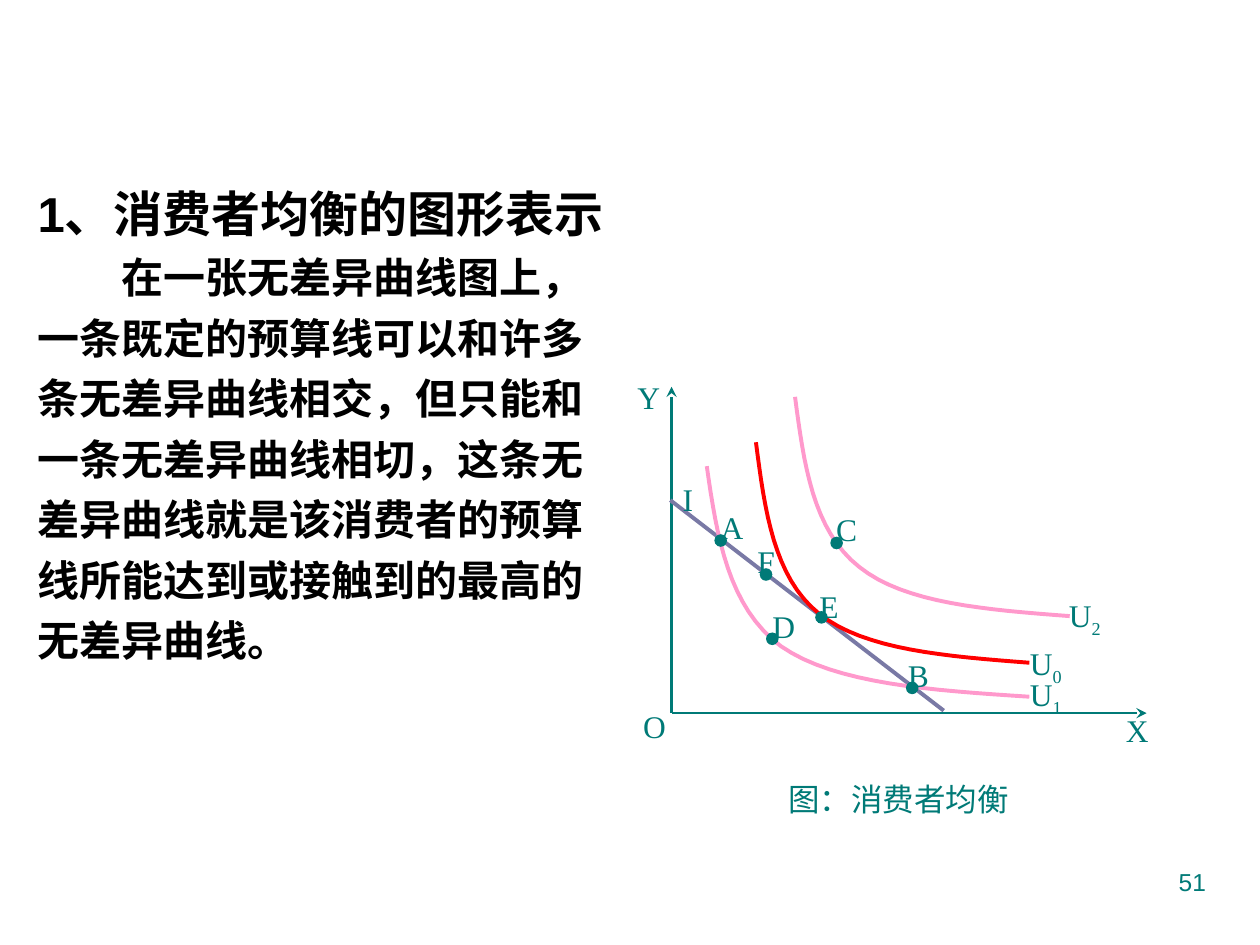
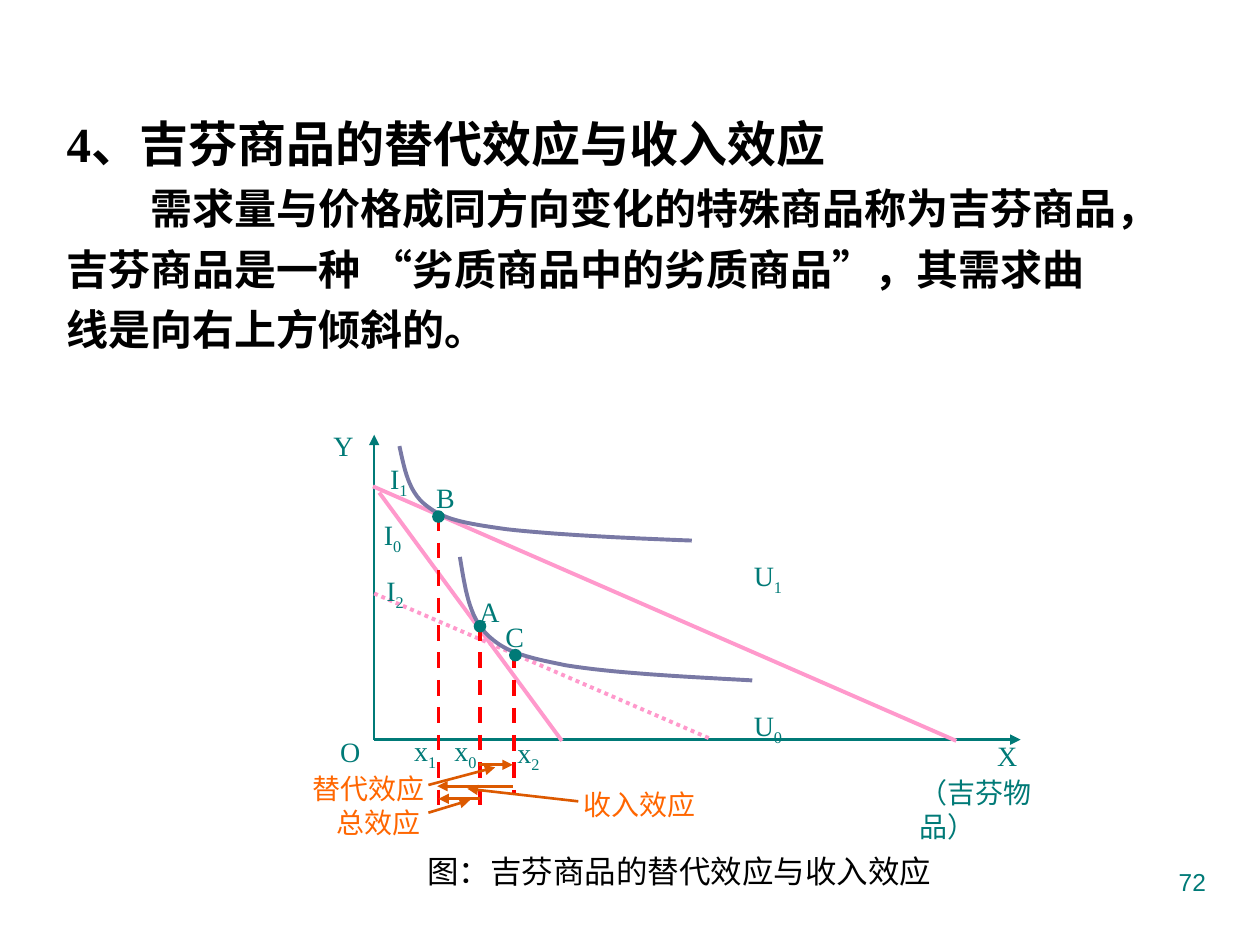
from dataclasses import dataclass
from typing import NamedTuple

from lxml.etree import SubElement
from pptx import Presentation
from pptx.dml.color import RGBColor
from pptx.enum.dml import MSO_LINE
from pptx.enum.shapes import MSO_CONNECTOR, MSO_SHAPE
from pptx.enum.text import PP_ALIGN
from pptx.oxml.ns import qn
from pptx.util import Inches, Pt

COLUMNS, ROWS = 100, 75
CELL = Inches(0.1)

TEAL, BLACK, RED = "007A77", "000000", "FF0000"
PINK, SLATE, ORANGE, RUST = "FF99CC", "7979A5", "FF6600", "DC5900"
SANS, SERIF, CHINESE = "Arial", "Times New Roman", "Noto Sans CJK SC"
THIN, THICK = 1.5, 2.25
DOT_SIZE = 1
CURVE_STEPS = 16


class Point(NamedTuple):
    column: float
    row: float


class Frame(NamedTuple):
    left: float
    top: float
    width: float
    height: float


class Inset(NamedTuple):
    across: float
    down: float


WIDE, TIGHT = Inset(1, 0.5), Inset(0.6, 0.4)


@dataclass(frozen=True)
class Style:
    size: float
    font: str = SERIF
    color: str = TEAL
    bold: bool = False
    align: PP_ALIGN = PP_ALIGN.CENTER
    spacing: float = 1.0
    indent: float = 0


@dataclass(frozen=True)
class Label:
    """A short text centred on a column, with an optional subscript."""
    text: str
    center: float
    top: float
    subscript: str = ""
    color: str = TEAL
    width: float = 6


@dataclass(frozen=True)
class Line:
    start: Point
    end: Point
    color: str
    weight: float = THICK
    dash: MSO_LINE | None = None
    arrow: str = ""


@dataclass(frozen=True)
class Curve:
    """Cubic Bezier pieces: a start point, then three points for each piece."""
    points: tuple[Point, ...]
    color: str


@dataclass(frozen=True)
class Diagram:
    label_size: float
    lines: list[Line]
    curves: list[Curve]
    labels: list[Label]
    dots: list[Point]


def cells(count: float) -> int:
    return round(count * CELL)


def rgb(color: str) -> RGBColor:
    return RGBColor.from_string(color)


def style_para(para, style: Style) -> None:
    para.alignment = style.align
    para.line_spacing = style.spacing
    if style.indent:
        para._p.get_or_add_pPr().set("indent", str(cells(style.indent)))
    font = para.font
    font.size, font.name, font.bold = Pt(style.size), style.font, style.bold
    font.color.rgb = rgb(style.color)
    defaults = para._p.pPr.find(qn("a:defRPr"))
    SubElement(defaults, qn("a:ea")).set("typeface", CHINESE)


def add_text(page, frame: Frame, *texts: tuple[str, Style], inset: Inset = WIDE):
    """Adds a text box with one paragraph for each text and returns its text frame."""
    box = page.shapes.add_textbox(*map(cells, frame)).text_frame
    box.word_wrap = True
    box.margin_left = box.margin_right = cells(inset.across)
    box.margin_top = box.margin_bottom = cells(inset.down)
    for index, (text, style) in enumerate(texts):
        para = box.add_paragraph() if index else box.paragraphs[0]
        para.add_run().text = text
        style_para(para, style)
    return box


def add_label(page, label: Label, size: float) -> None:
    frame = Frame(label.center - label.width / 2, label.top, label.width, 3.4)
    box = add_text(page, frame, (label.text, Style(size, color=label.color)), inset=TIGHT)
    if label.subscript:
        span = box.paragraphs[0].add_run()
        span.text = label.subscript
        span._r.get_or_add_rPr().set("baseline", "-25000")


def add_line(page, line: Line) -> None:
    ends = map(cells, (*line.start, *line.end))
    connector = page.shapes.add_connector(MSO_CONNECTOR.STRAIGHT, *ends)
    connector.line.color.rgb = rgb(line.color)
    connector.line.width = Pt(line.weight)
    if line.dash:
        connector.line.dash_style = line.dash
    if line.arrow:
        SubElement(connector.line._get_or_add_ln(), qn("a:tailEnd")).set("type", line.arrow)
    SubElement(connector._element.spPr, qn("a:effectLst"))


def bezier(corners: tuple[Point, ...], share: float) -> Point:
    rest = 1 - share
    weights = (rest**3, 3 * rest**2 * share, 3 * rest * share**2, share**3)
    return Point(*(sum(w * v for w, v in zip(weights, axis)) for axis in zip(*corners)))


def add_curve(page, curve: Curve) -> None:
    points = curve.points
    trace = [bezier(points[first:first + 4], step / CURVE_STEPS)
             for first in range(0, len(points) - 1, 3)
             for step in range(1, CURVE_STEPS + 1)]
    builder = page.shapes.build_freeform(*map(cells, points[0]))
    builder.add_line_segments([tuple(map(cells, point)) for point in trace], close=False)
    shape = builder.convert_to_shape()
    shape.shadow.inherit = False
    shape.fill.background()
    shape.line.color.rgb = rgb(curve.color)
    shape.line.width = Pt(THICK)


def add_dot(page, center: Point) -> None:
    corner = (center.column - DOT_SIZE / 2, center.row - DOT_SIZE / 2)
    dot = page.shapes.add_shape(
        MSO_SHAPE.OVAL, *map(cells, (*corner, DOT_SIZE, DOT_SIZE)))
    dot.shadow.inherit = False
    dot.fill.solid()
    dot.fill.fore_color.rgb = rgb(TEAL)
    dot.line.fill.background()


def add_diagram(page, diagram: Diagram) -> None:
    for line in diagram.lines:
        add_line(page, line)
    for curve in diagram.curves:
        add_curve(page, curve)
    for label in diagram.labels:
        add_label(page, label, diagram.label_size)
    for dot in diagram.dots:
        add_dot(page, dot)


def add_page(deck, number: int, frame: Frame, heading: str, body: str,
             heading_font: str, body_font: str):
    """Adds a blank page with its heading, indented body text and page number."""
    page = deck.slides.add_slide(deck.slide_layouts[6])
    left = PP_ALIGN.LEFT
    add_text(page, frame,
             (heading, Style(28, heading_font, BLACK, True, left, 1.2)),
             (body, Style(24, body_font, BLACK, True, left, 1.2, indent=6.67)))
    add_text(page, Frame(71.7, 68.3, 25, 5.2),
             (str(number), Style(14, SANS, align=PP_ALIGN.RIGHT)))
    return page


def axes(origin: Point, top: float, right: float, arrow: str) -> list[Line]:
    ends = (Point(origin.column, top), Point(right, origin.row))
    return [Line(origin, end, TEAL, THIN, arrow=arrow) for end in ends]


def effect_arrow(start: Point, end: Point) -> Line:
    return Line(start, end, RUST, THIN, arrow="triangle")


def drop_line(column: float, top: float, bottom: float) -> Line:
    return Line(Point(column, top), Point(column, bottom), RED, dash=MSO_LINE.DASH)


def curve_through(color: str, *points: tuple[float, float]) -> Curve:
    return Curve(tuple(Point(*point) for point in points), color)


def equilibrium_diagram() -> Diagram:
    return Diagram(
        label_size=18,
        lines=[*axes(Point(53.3, 56.6), 30.7, 91, "stealth"),
               Line(Point(53.2, 39.7), Point(74.9, 56.4), SLATE)],
        curves=[
            curve_through(RED, (60, 35.1), (60.7, 40.5), (61.4, 45.8), (65, 48.7),
                          (68.6, 51.6), (75.2, 52.1), (81.7, 52.6)),
            curve_through(PINK, (56.1, 37), (56.9, 42.6), (57.8, 48.2), (62, 51.3),
                          (66.3, 54.3), (74, 54.8), (81.7, 55.3)),
            curve_through(PINK, (63.1, 31.5), (63.8, 36.8), (64.5, 42.1), (68.2, 45),
                          (71.8, 47.9), (78.3, 48.4), (84.9, 48.9)),
        ],
        labels=[
            Label("O", 51.95, 55.7), Label("X", 90.25, 56), Label("Y", 51.5, 29.6),
            Label("A", 58.1, 39.9), Label("B", 72.9, 51.7), Label("C", 67.2, 40.1),
            Label("D", 62.2, 47.8), Label("E", 65.8, 46.2), Label("F", 60.8, 42.6),
            Label("I", 54.6, 37.7), Label("U", 83, 50.7, "0"),
            Label("U", 83, 53.2, "1"), Label("U", 86.1, 46.9, "2"),
        ],
        dots=[Point(57.2, 42.9), Point(72.4, 54.6), Point(65.2, 49),
              Point(61.3, 50.7), Point(66.4, 43.1), Point(60.8, 45.6)],
    )


def giffen_diagram() -> Diagram:
    return Diagram(
        label_size=16,
        lines=[
            *axes(Point(29.7, 58.7), 34.5, 81, "triangle"),
            Line(Point(30.1, 39.1), Point(44.6, 58.8), PINK),
            Line(Point(29.7, 47.1), Point(56.3, 58.6), PINK, dash=MSO_LINE.ROUND_DOT),
            Line(Point(29.6, 38.6), Point(75.9, 58.8), PINK),
            drop_line(38.1, 49.6, 64.3),
            drop_line(40.8, 51.8, 62.9),
            drop_line(34.8, 40.9, 64.3),
            effect_arrow(Point(38, 60.7), Point(40.7, 60.7)),
            effect_arrow(Point(40.7, 62.4), Point(34.7, 62.4)),
            effect_arrow(Point(38.1, 63.4), Point(34.8, 63.4)),
            effect_arrow(Point(34, 62.3), Point(39.3, 60.9)),
            effect_arrow(Point(45.9, 63.6), Point(37.1, 62.6)),
            effect_arrow(Point(34, 64.5), Point(37.3, 63.5)),
        ],
        curves=[
            curve_through(SLATE, (31.7, 35.4), (32.1, 37.2), (32.4, 39), (33.8, 40.1),
                          (35.2, 41.2), (36.6, 41.5), (40.2, 42),
                          (43.7, 42.4), (49.3, 42.7), (54.9, 42.9)),
            curve_through(SLATE, (36.5, 44.2), (36.9, 46.6), (37.2, 48.9), (38.6, 50.3),
                          (40, 51.7), (41.4, 52.1), (44.9, 52.8),
                          (48.5, 53.4), (54.1, 53.7), (59.7, 54)),
        ],
        labels=[
            Label("O", 27.8, 57.9), Label("X", 79.95, 58.2), Label("Y", 27.25, 33.6),
            Label("A", 38.85, 46.8), Label("B", 35.35, 37.7), Label("C", 40.85, 48.8),
            Label("U", 60.95, 55.8, "0"), Label("U", 60.95, 43.9, "1"),
            Label("I", 31.15, 40.7, "0"), Label("I", 31.65, 36.2, "1"),
            Label("I", 31.35, 45.1, "2"), Label("x", 36.95, 57.8, "0"),
            Label("x", 33.75, 57.8, "1"), Label("x", 41.95, 58, "2"),
            Label("替代效应", 29.25, 60.8, color=ORANGE, width=10.5),
            Label("收入效应", 50.75, 62.1, color=ORANGE, width=10.5),
            Label("总效应", 30.05, 63.5, color=ORANGE, width=10.5),
        ],
        dots=[Point(38.1, 49.7), Point(34.8, 41), Point(40.9, 52)],
    )


def main() -> None:
    deck = Presentation()
    deck.slide_width, deck.slide_height = cells(COLUMNS), cells(ROWS)

    page = add_page(
        deck, 51, Frame(2, 13.1, 48, 40.2), "1、消费者均衡的图形表示",
        "在一张无差异曲线图上，一条既定的预算线可以和许多条无差异曲线相交，"
        "但只能和一条无差异曲线相切，这条无差异曲线就是该消费者的预算线所能"
        "达到或接触到的最高的无差异曲线。", SANS, SANS)
    add_diagram(page, equilibrium_diagram())
    add_text(page, Frame(53.1, 61.4, 36.4, 3.7), ("图：消费者均衡", Style(18, CHINESE)))

    page = add_page(
        deck, 72, Frame(4.3, 7.6, 85.8, 21), "4、吉芬商品的替代效应与收入效应",
        "需求量与价格成同方向变化的特殊商品称为吉芬商品，吉芬商品是一种 "
        "“劣质商品中的劣质商品”，其需求曲线是向右上方倾斜的。", SERIF, CHINESE)
    add_diagram(page, giffen_diagram())
    add_text(page, Frame(28, 67.1, 51.8, 3.5),
             ("图：吉芬商品的替代效应与收入效应", Style(18, CHINESE, BLACK)))
    add_text(page, Frame(72, 61.1, 13.4, 6.4),
             ("（吉芬物品）", Style(16, CHINESE, align=PP_ALIGN.LEFT)))

    deck.save("out.pptx")


if __name__ == "__main__":
    main()
